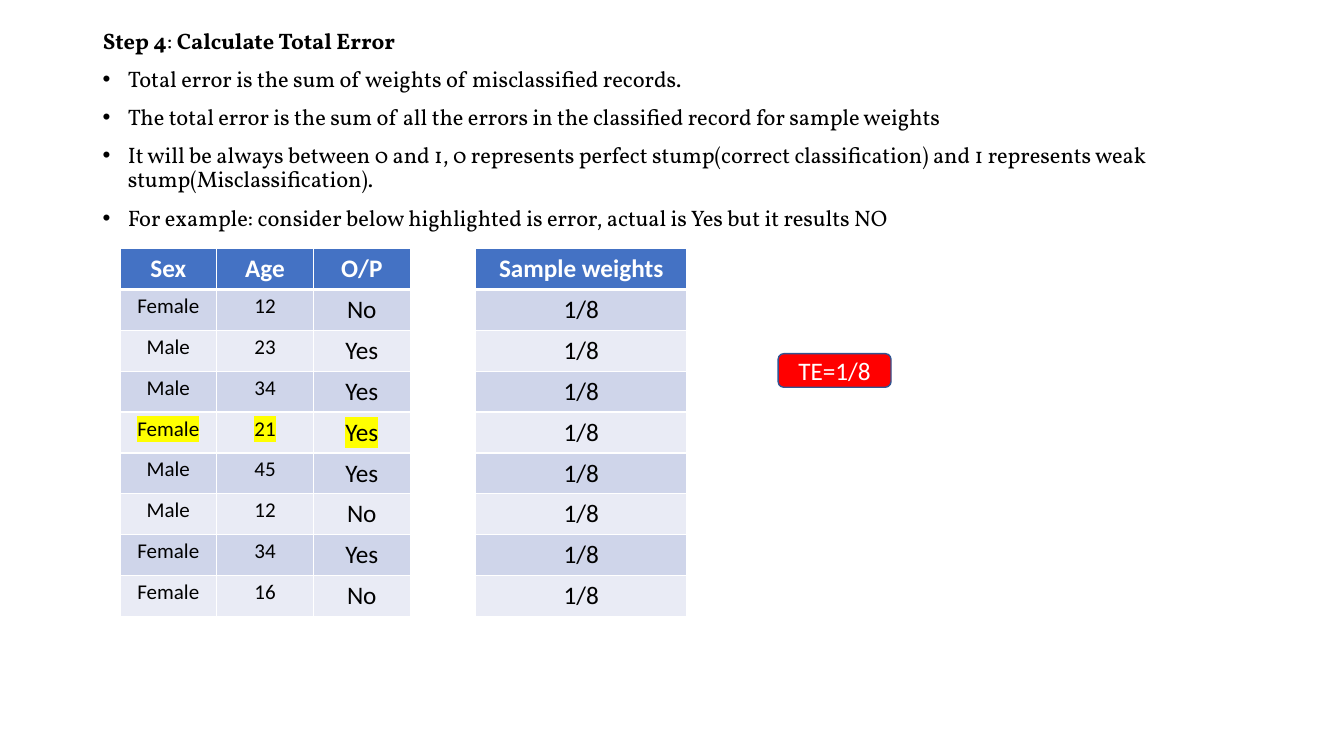
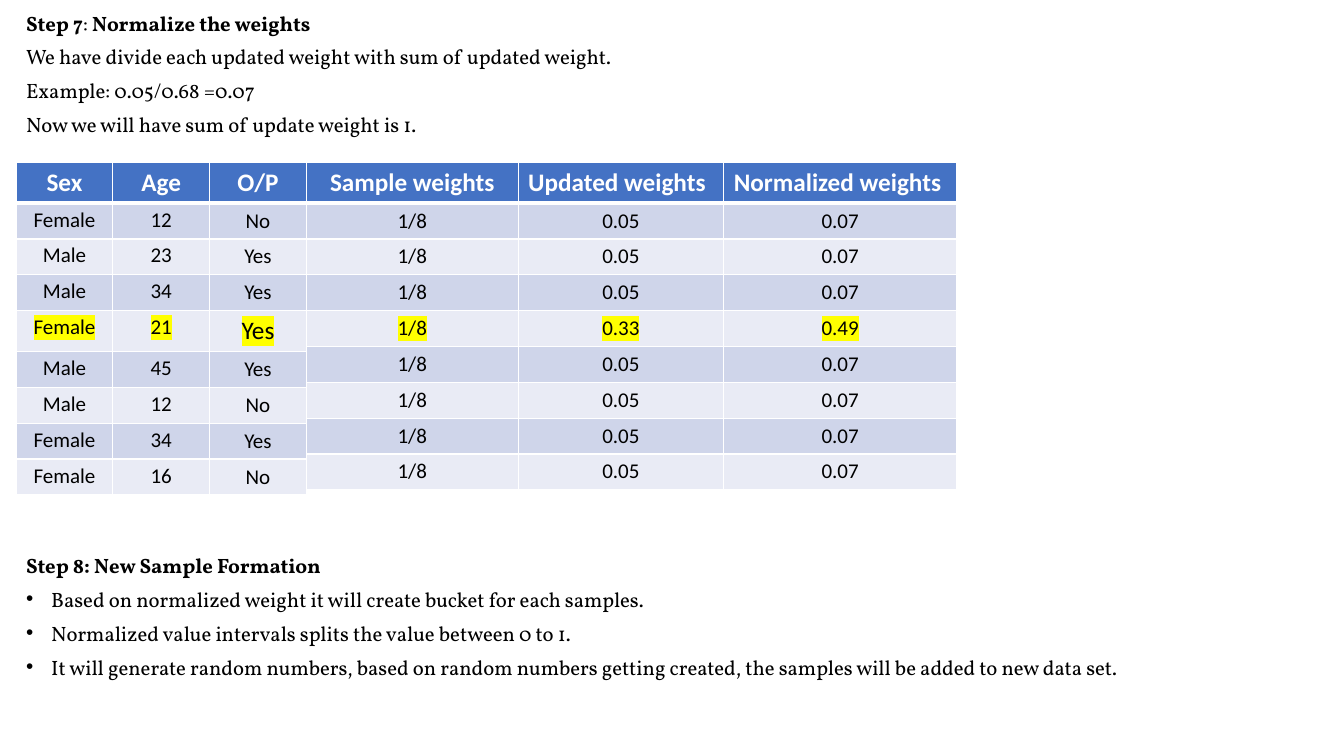
from dataclasses import dataclass

from lxml import etree
from pptx import Presentation
from pptx import util as u
from pptx.dml.color import RGBColor
from pptx.enum import shapes, text
from pptx.oxml.ns import qn

BLACK = RGBColor(0x00, 0x00, 0x00)
WHITE = RGBColor(0xFF, 0xFF, 0xFF)
HEAD_BLUE = RGBColor(0x44, 0x72, 0xC4)
BANDS = (RGBColor(0xCF, 0xD5, 0xEA), RGBColor(0xE9, 0xEB, 0xF5))
YELLOW = RGBColor(0xFF, 0xFF, 0x00)
RED = RGBColor(0xFF, 0x00, 0x00)
NAVY = RGBColor(0x32, 0x54, 0x91)

PROSE, DATA = "Vollkorn", "Calibri"
COLS = 40  # square grid modules across the slide
CENTER, LEFT = text.PP_ALIGN.CENTER, text.PP_ALIGN.LEFT

PEOPLE = [
    ("Female", "12", "No"), ("Male", "23", "Yes"),
    ("Male", "34", "Yes"), ("Female", "21", "Yes"),
    ("Male", "45", "Yes"), ("Male", "12", "No"),
    ("Female", "34", "Yes"), ("Female", "16", "No"),
]
MISCLASSIFIED = 3


@dataclass
class Column:
    head: str
    width: float
    size: float = 15
    tight: bool = False
    marked_size: float = 0
    head_align: text.PP_ALIGN = CENTER


def people_columns(**answer_style):
    return [Column("Sex", 2.88, tight=True), Column("Age", 2.88, tight=True),
            Column("O/P", 2.88, **answer_style)]


def single(value, marked=None):
    """Rows of one column, with another value for the misclassified record."""
    rows = [(value,) for _ in PEOPLE]
    if marked:
        rows[MISCLASSIFIED] = (marked,)
    return rows


class Deck:
    def __init__(self):
        self.prs = Presentation()
        self.prs.slide_width = u.Inches(13.33)
        self.prs.slide_height = u.Inches(7.5)
        self.slide = None

    def grid(self, *lengths):
        return [round(n * self.prs.slide_width / COLS) for n in lengths]

    def font(self, r, size, color=BLACK, bold=False, name=PROSE):
        r.font.size, r.font.bold, r.font.name = u.Pt(size), bold, name
        r.font.color.rgb = color

    def frame(self, sp):
        tf = sp.text_frame
        tf.word_wrap = True
        tf.auto_size = text.MSO_AUTO_SIZE.NONE
        tf.vertical_anchor = text.MSO_ANCHOR.TOP
        return tf

    def paragraph(self, p, spacing):
        p.alignment = LEFT
        p.line_spacing, p.space_before = spacing, u.Pt(10)

    def titled(self, step, topic, box, size, spacing):
        """Start a slide whose title has a plain colon between bold parts."""
        self.slide = self.prs.slides.add_slide(self.prs.slide_layouts[5])
        sp = self.slide.shapes.title
        sp.left, sp.top, sp.width, sp.height = self.grid(*box)
        p = self.frame(sp).paragraphs[0]
        self.paragraph(p, spacing)
        for part, bold in ((step, True), (": ", False), (topic, True)):
            r = p.add_run()
            r.text = part
            self.font(r, size, bold=bold)

    def prose(self, box, lines, size, spacing, bullets=True, heading=None):
        sp = self.slide.shapes.add_textbox(*self.grid(*box))
        tf = self.frame(sp)
        tf.text = "\n".join(([heading] if heading else []) + lines)
        for i, p in enumerate(tf.paragraphs):
            is_heading = bool(heading) and i == 0
            self.paragraph(p, spacing)
            self.font(p.runs[0], size, bold=is_heading)
            if bullets and not is_heading:
                self.bullet(p)

    def bullet(self, p):
        pPr = p._p.get_or_add_pPr()
        pPr.set("marL", str(u.Inches(0.25)))
        pPr.set("indent", str(-u.Inches(0.25)))
        etree.SubElement(pPr, qn("a:buFont")).set("typeface", "Arial")
        etree.SubElement(pPr, qn("a:buChar")).set("char", "•")

    def borders(self, cell, top, bottom):
        tcPr = cell._tc.get_or_add_tcPr()
        sides = {"a:lnL": 1, "a:lnR": 1, "a:lnT": top, "a:lnB": bottom}
        for i, (tag, width) in enumerate(sides.items()):
            ln = etree.Element(qn(tag), w=str(u.Pt(width)))
            fill = etree.SubElement(ln, qn("a:solidFill"))
            etree.SubElement(fill, qn("a:srgbClr")).set("val", str(WHITE))
            tcPr.insert(i, ln)

    def highlight(self, r):
        mark = etree.Element(qn("a:highlight"))
        etree.SubElement(mark, qn("a:srgbClr")).set("val", str(YELLOW))
        r._r.get_or_add_rPr().find(qn("a:solidFill")).addnext(mark)

    def cell(self, cell, value, fill, size, color=BLACK, bold=False, align=CENTER):
        cell.fill.solid()
        cell.fill.fore_color.rgb = fill
        p = cell.text_frame.paragraphs[0]
        p.text, p.alignment = value, align
        self.font(p.runs[0], size, color, bold, DATA)
        return p.runs[0]

    def table(self, left, top, columns, rows, row_height, marked=None):
        """Draw a banded table and return the grid column of its right edge."""
        width = sum(c.width for c in columns)
        height = 1.21 + row_height * len(rows)
        tbl = self.slide.shapes.add_table(
            len(rows) + 1, len(columns), *self.grid(left, top, width, height)).table
        tbl.horz_banding = False
        for i, row in enumerate(tbl.rows):
            row.height = self.grid(row_height if i else 1.21)[0]
        for j, col in enumerate(columns):
            tbl.columns[j].width = self.grid(col.width)[0]
            head = tbl.cell(0, j)
            self.cell(head, col.head, HEAD_BLUE, 18, WHITE, True, col.head_align)
            self.borders(head, 1, 3)
            for i, row in enumerate(rows):
                cell = tbl.cell(i + 1, j)
                is_marked = i == marked
                size = is_marked and col.marked_size or col.size
                r = self.cell(cell, row[j], BANDS[i % 2], size)
                self.borders(cell, 1 if i else 3, 1)
                if is_marked:
                    self.highlight(r)
                if col.tight:
                    cell.margin_left = cell.margin_right = u.Inches(0.08)
                    cell.margin_top = cell.margin_bottom = u.Inches(0.04)
        return left + width

    def badge(self, box, label):
        sp = self.slide.shapes.add_shape(
            shapes.MSO_SHAPE.ROUNDED_RECTANGLE, *self.grid(*box))
        sp.shadow.inherit = False
        sp.fill.solid()
        sp.fill.fore_color.rgb = RED
        sp.line.color.rgb, sp.line.width = NAVY, u.Pt(1)
        tf = self.frame(sp)
        tf.vertical_anchor = text.MSO_ANCHOR.MIDDLE
        tf.text = label
        p = tf.paragraphs[0]
        p.alignment = CENTER
        self.font(p.runs[0], 18, WHITE, name=DATA)


def total_error(deck):
    style = {"size": 16, "spacing": 0.9}
    deck.titled("Step 4", "Calculate Total Error", (2.76, 0.75, 34.5, 1.1), **style)
    deck.prose((2.76, 1.88, 34.5, 5.4), [
        "Total error is the sum of weights of misclassified records.",
        "The total error is the sum of all the errors in the classified record"
        " for sample weights",
        "It will be always between 0 and 1, 0 represents perfect stump(correct"
        " classification) and 1 represents weak stump(Misclassification).",
        "For example: consider below highlighted is error, actual is Yes but"
        " it results NO",
    ], **style)
    top, row_height = 7.4, 1.21
    deck.table(3.57, top, people_columns(size=18), PEOPLE, row_height, MISCLASSIFIED)
    deck.table(14.15, top, [Column("Sample weights", 6.3, 18)], single("1/8"),
               row_height)
    deck.badge((23.16, 10.53, 3.36, 1), "TE=1/8")


def normalized_weights(deck):
    style = {"size": 14.8, "spacing": 0.8}
    left, width = 0.48, 39.5
    deck.titled("Step 7", "Normalize the weights", (left, 0.3, width, 1), **style)
    deck.prose((left, 1.31, width, 3), [
        "We have divide each updated weight with sum of updated weight.",
        "Example: 0.05/0.68 =0.07",
        "Now we will have sum of update weight is 1.",
    ], bullets=False, **style)
    tables = [
        (people_columns(marked_size=18), PEOPLE),
        ([Column("Sample weights", 6.3)], single("1/8")),
        ([Column("Updated weights", 6.12, head_align=LEFT)], single("0.05", "0.33")),
        ([Column("Normalized weights", 6.93, head_align=LEFT)], single("0.07", "0.49")),
    ]
    edge = left
    for columns, rows in tables:
        edge = deck.table(edge, 4.83, columns, rows, 1.05, MISCLASSIFIED)
    deck.prose((left, 16.45, width, 4.4), [
        "Based on normalized weight it will create bucket for each samples.",
        "Normalized value intervals splits the value between 0 to 1.",
        "It will generate random numbers, based on random numbers getting"
        " created, the samples will be added to new data set.",
    ], heading="Step 8: New Sample Formation", **style)


def main():
    deck = Deck()
    total_error(deck)
    normalized_weights(deck)
    deck.prs.save("out.pptx")


if __name__ == "__main__":
    main()
